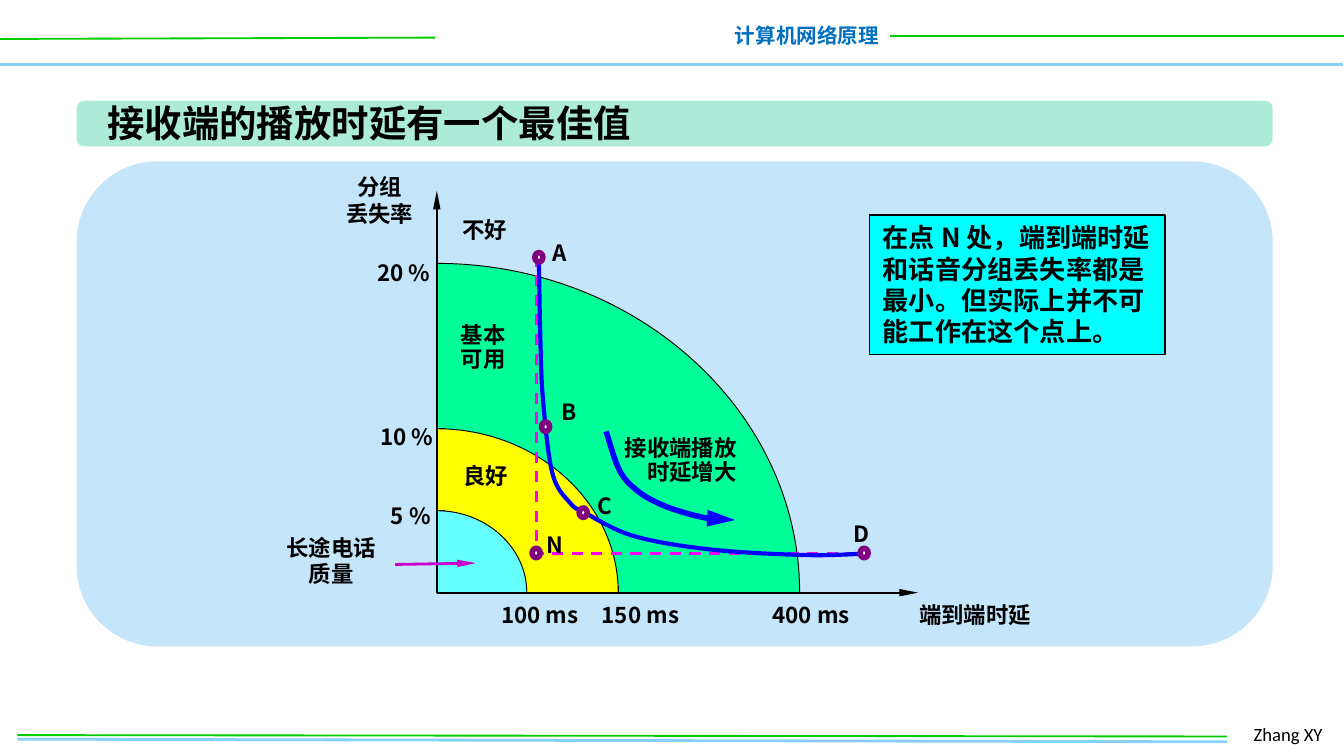
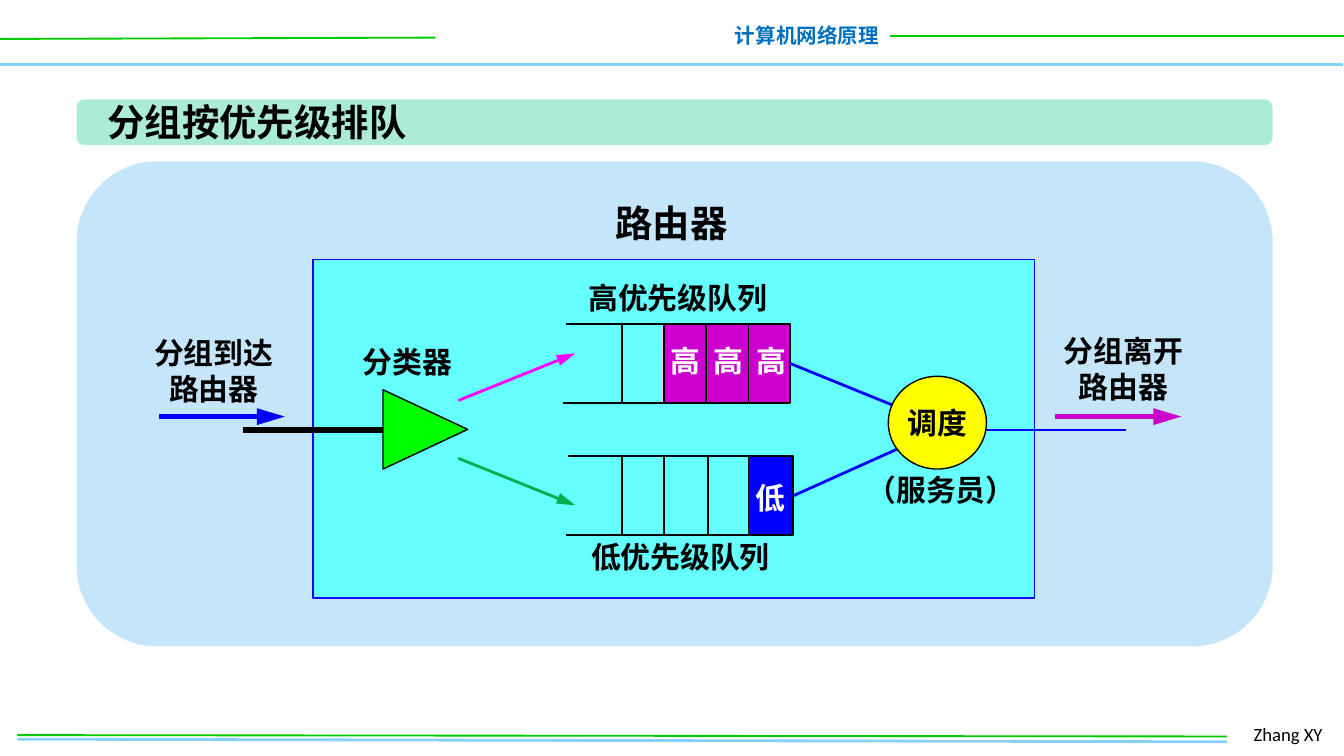
from lxml.etree import SubElement
from pptx import Presentation
from pptx.dml.color import RGBColor
from pptx.enum.dml import MSO_LINE_DASH_STYLE as Dash
from pptx.enum.shapes import MSO_CONNECTOR, MSO_SHAPE as Shape
from pptx.enum.text import MSO_ANCHOR as Anchor, MSO_AUTO_SIZE as AutoSize, PP_ALIGN as Align
from pptx.oxml.ns import qn
from pptx.util import Pt

PX = 9144  # EMU per px, 100 px to the inch
CJK = "Noto Sans CJK SC"
BLACK = RGBColor(0x00, 0x00, 0x00)
WHITE = RGBColor(0xFF, 0xFF, 0xFF)
SKY = RGBColor(0x85, 0xD1, 0xF7)
LEAF = RGBColor(0x00, 0xCC, 0x00)
HEADER_BLUE = RGBColor(0x00, 0x70, 0xC0)
MINT = RGBColor(0xAB, 0xEB, 0xD7)
PANEL = RGBColor(0xC5, 0xE5, 0xFB)
SPRING = RGBColor(0x00, 0xFF, 0x99)
YELLOW = RGBColor(0xFF, 0xFF, 0x00)
AQUA = RGBColor(0x66, 0xFF, 0xFF)
CYAN = RGBColor(0x00, 0xFF, 0xFF)
BLUE = RGBColor(0x00, 0x00, 0xFF)
PURPLE = RGBColor(0x80, 0x00, 0x80)
MAGENTA = RGBColor(0xFF, 0x00, 0xFF)
VIOLET = RGBColor(0xCC, 0x00, 0xCC)
PINK = RGBColor(0xFF, 0xCC, 0xFF)
LIME = RGBColor(0x00, 0xFF, 0x00)
GREEN = RGBColor(0x00, 0xB0, 0x50)


def px(*lengths):
    return [round(length * PX) for length in lengths]


def set_line(line, color, width, arrow=None, dash=None):
    """Style a line; arrow is the width of its long head, "sm" or "med"."""
    line.color.rgb = color
    line.width = Pt(width)
    if dash:
        line.dash_style = dash
    if arrow:
        SubElement(line._get_or_add_ln(), qn("a:tailEnd"), type="triangle", w=arrow, len="lg")


def add_line(page, start, end, color=BLACK, width=1, arrow=None):
    line = page.shapes.add_connector(MSO_CONNECTOR.STRAIGHT, *px(*start, *end))
    set_line(line.line, color, width, arrow)
    SubElement(line._element.spPr, qn("a:effectLst"))
    return line


def paint(shape, fill, line, width):
    shape.shadow.inherit = False
    if fill is None:
        shape.fill.background()
    else:
        shape.fill.solid()
        shape.fill.fore_color.rgb = fill
    if line is None:
        shape.line.fill.background()
    else:
        set_line(shape.line, line, width)


def add_shape(page, kind, frame, fill, line=None, width=0.75):
    shape = page.shapes.add_shape(kind, *px(*frame))
    paint(shape, fill, line, width)
    return shape


def add_outline(page, points, curves=0, fill=None, line=BLACK, width=1, close=False):
    """A freeform whose first segments, as many as curves, are cubic: three points each."""
    points = [px(*point) for point in points]
    builder = page.shapes.build_freeform(*points[0], scale=1.0)
    builder.add_line_segments(points[1:], close=close)
    shape = builder.convert_to_shape()
    segments = list(shape._element.iter(qn("a:lnTo")))
    for first in range(0, 3 * curves, 3):
        curve, *rest = segments[first:first + 3]
        curve.tag = qn("a:cubicBezTo")
        for segment in rest:
            curve.append(segment[0])
            segment.getparent().remove(segment)
    paint(shape, fill, line, width)
    return shape


def add_smooth_curve(page, knots, width):
    ends = [knots[0], *knots, knots[-1]]
    points = [knots[0]]
    for a, b, c, d in zip(ends, ends[1:], ends[2:], ends[3:]):
        points.append([q + (r - p) / 6 for p, q, r in zip(a, b, c)])
        points.append([r - (s - q) / 6 for q, r, s in zip(b, c, d)])
        points.append(c)
    return add_outline(page, points, curves=len(knots) - 1, line=BLUE, width=width)


def add_quarter_disc(page, center, radius_x, radius_y, fill):
    x, y = center
    bend = 0.55
    points = [(x, y - radius_y), (x + bend * radius_x, y - radius_y),
              (x + radius_x, y - bend * radius_y), (x + radius_x, y), center]
    add_outline(page, points, curves=1, fill=fill, width=0.5, close=True)


def set_text(shape, words, size=12, color=BLACK, align=Align.LEFT, spacing=None,
             font=CJK, bold=True, wrap=False, anchor=Anchor.TOP, tracking=None):
    frame = shape.text_frame
    frame.text = words
    frame.word_wrap = wrap
    frame.vertical_anchor = anchor
    for para in frame.paragraphs:
        para.alignment = align
        if spacing:
            para.line_spacing = spacing
        for span in para.runs:
            span.font.size = Pt(size)
            span.font.bold = bold
            span.font.color.rgb = color
            span.font.name = font
            props = span.font._element
            SubElement(props, qn("a:ea"), typeface=font)
            if tracking:
                props.set("spc", str(tracking * 100))


def add_text(page, frame, words, **style):
    box = page.shapes.add_textbox(*px(*frame))
    set_text(box, words, **style)
    box.text_frame.auto_size = AutoSize.SHAPE_TO_FIT_TEXT


def add_page(deck, title, title_top, title_width):
    """A page with the header, footer, title band and panel that all pages share."""
    page = deck.slides.add_slide(deck.slide_layouts[6])
    add_line(page, (-1, 48), (999, 48), SKY, 2)
    add_line(page, (0, 29), (324, 28), LEAF)
    add_text(page, (536, 12, 128, 29), "计算机网络原理", size=11, color=HEADER_BLUE,
             align=Align.RIGHT)
    add_line(page, (662, 27), (1001, 27), LEAF)
    add_line(page, (13, 550), (913, 552), SKY, 1.5)
    add_text(page, (923, 533, 74, 27), "Zhang XY", size=10, font="Calibri", bold=False,
             wrap=True)
    add_line(page, (13, 547), (913, 548), LEAF)
    add_shape(page, Shape.ROUNDED_RECTANGLE, (57, title_top, 890, 34), MINT)
    add_text(page, (70, title_top - 5, title_width, 44), title, size=20)
    add_shape(page, Shape.ROUNDED_RECTANGLE, (57, 120, 890, 361), PANEL)
    return page


def build_delay_page(deck):
    page = add_page(deck, "接收端的播放时延有一个最佳值", 75, 421)
    origin = left, base = 325, 441
    zones = [(270, 245, SPRING), (135, 122, YELLOW), (67, 61, AQUA)]
    for radius_x, radius_y, fill in zones:
        add_line(page, (left + radius_x, base - 5), (left + radius_x, base), width=0.75)
        add_line(page, (left + 6, base - radius_y), (left, base - radius_y), width=0.75)
        add_quarter_disc(page, origin, radius_x, radius_y, fill)
    for tip in [(325, 142), (683, 441)]:
        add_line(page, origin, tip, arrow="sm")

    guide = add_outline(page, [(399, 190), (399, 412), (643, 412)])
    set_line(guide.line, MAGENTA, 1.5, dash=Dash.DASH)
    loss_knots = [(401, 194), (402, 249), (404, 297), (411, 352), (424, 374),
                  (436, 382), (472, 399), (530, 409), (599, 413), (643, 412)]
    add_smooth_curve(page, loss_knots, 2.25)

    points = [("A", 398, 188, 401, 173), ("B", 403, 314, 408, 291), ("C", 431, 378, 435, 361),
              ("N", 396, 408, 397, 390), ("D", 640, 408, 625, 382)]
    for name, dot_x, dot_y, label_x, label_y in points:
        add_shape(page, Shape.OVAL, (dot_x, dot_y, 6, 7), WHITE, PURPLE, 3)
        add_text(page, (label_x, label_y, 35, 32), name)

    labels = [("20 %", 271, 188, 65), ("10 %", 273, 310, 65), ("5 %", 281, 369, 54),
              ("100 ms", 363, 442, 86), ("150 ms", 438, 442, 86), ("400 ms", 565, 442, 86),
              ("端到端时延", 674, 442, 110), ("良好", 335, 339, 57), ("不好", 334, 156, 57)]
    for words, x, y, width in labels:
        add_text(page, (x, y, width, 32), words)
    add_text(page, (245, 124, 75, 53), "分组\n丢失率", align=Align.CENTER)
    add_text(page, (333, 236, 57, 49), "基本\n可用", spacing=0.9)
    add_text(page, (200, 394, 93, 51), "长途电话\n质量", align=Align.CENTER, spacing=0.95)

    trend_knots = [(451, 321), (461, 350), (474, 365), (491, 375), (511, 382),
                   (534, 387), (547, 387)]
    trend = add_smooth_curve(page, trend_knots, 3)
    set_line(trend.line, BLUE, 3, arrow="med")
    add_text(page, (450, 320, 108, 49), "接收端播放\n时延增大", align=Align.RIGHT, spacing=0.9)
    add_line(page, (294, 420), (354, 419), VIOLET, 1.5, arrow="sm")

    note = add_shape(page, Shape.RECTANGLE, (647, 160, 220, 104), CYAN, BLACK)
    set_text(note, "在点 N 处，端到端时延和话音分组丢失率都是最小。但实际上并不可能工作在这个点上。",
             size=14, wrap=True)


def add_queue(page, left, top, dividers):
    """A queue that is open on the left."""
    right, bottom = left + 169, top + 59
    add_outline(page, [(left + 2, top), (right, top), (right, bottom), (left, bottom)])
    for x in dividers:
        add_line(page, (x, top), (x, bottom))


def build_priority_page(deck):
    page = add_page(deck, "分组按优先级排队", 74, 245)
    add_shape(page, Shape.RECTANGLE, (233, 193, 537, 252), AQUA, BLUE)
    high_cells = add_shape(page, Shape.RECTANGLE, (493, 241, 95, 59), VIOLET, PINK)
    add_queue(page, 419, 241, (463, 494, 525, 557))
    low_cell = add_shape(page, Shape.RECTANGLE, (557, 340, 33, 58), BLUE)
    add_queue(page, 421, 339, (463, 494, 527, 557))

    classifier = add_shape(page, Shape.ISOSCELES_TRIANGLE, (287, 288, 59, 63), LIME, BLACK)
    classifier.rotation = 90
    arrows = [((118, 310), (212, 310), BLUE, 3), ((341, 298), (428, 263), MAGENTA, 1.5),
              ((341, 341), (428, 376), GREEN, 1.5), ((785, 310), (879, 310), VIOLET, 3)]
    for start, end, color, width in arrows:
        add_line(page, start, end, color, width, arrow="med")
    for cells, start, end in [(high_cells, (588, 271), (668, 303)),
                              (low_cell, (590, 369), (668, 334))]:
        add_line(page, start, end, BLUE, 1.5).begin_connect(cells, 3)
    add_line(page, (734, 320), (838, 320), BLUE, 1.5)
    add_line(page, (181, 320), (285, 320), width=3)

    labels = [("高优先级队列", 428, 203, 155), ("低优先级队列", 430, 396, 155),
              ("分类器", 260, 251, 88), ("（服务员）", 635, 346, 132)]
    for words, x, y, width in labels:
        add_text(page, (x, y, width, 37), words, size=16)
    for words, x, y in [("分组到达\n路由器", 104, 244), ("分组离开\n路由器", 781, 243)]:
        add_text(page, (x, y, 110, 64), words, size=16, align=Align.CENTER)
    add_text(page, (448, 144, 104, 44), "路由器", size=20)
    add_text(page, (489, 250, 117, 37), "高高高", size=16, color=WHITE, tracking=7)
    add_text(page, (552, 352, 43, 37), "低", size=16, color=WHITE)

    server = add_shape(page, Shape.OVAL, (661, 280, 73, 69), YELLOW, BLACK)
    set_text(server, "调度", size=16, align=Align.CENTER, anchor=Anchor.MIDDLE)


def main():
    deck = Presentation()
    deck.slide_width = 1000 * PX
    deck.slide_height = deck.slide_width * 9 // 16
    build_delay_page(deck)
    build_priority_page(deck)
    deck.save("out.pptx")


if __name__ == "__main__":
    main()
